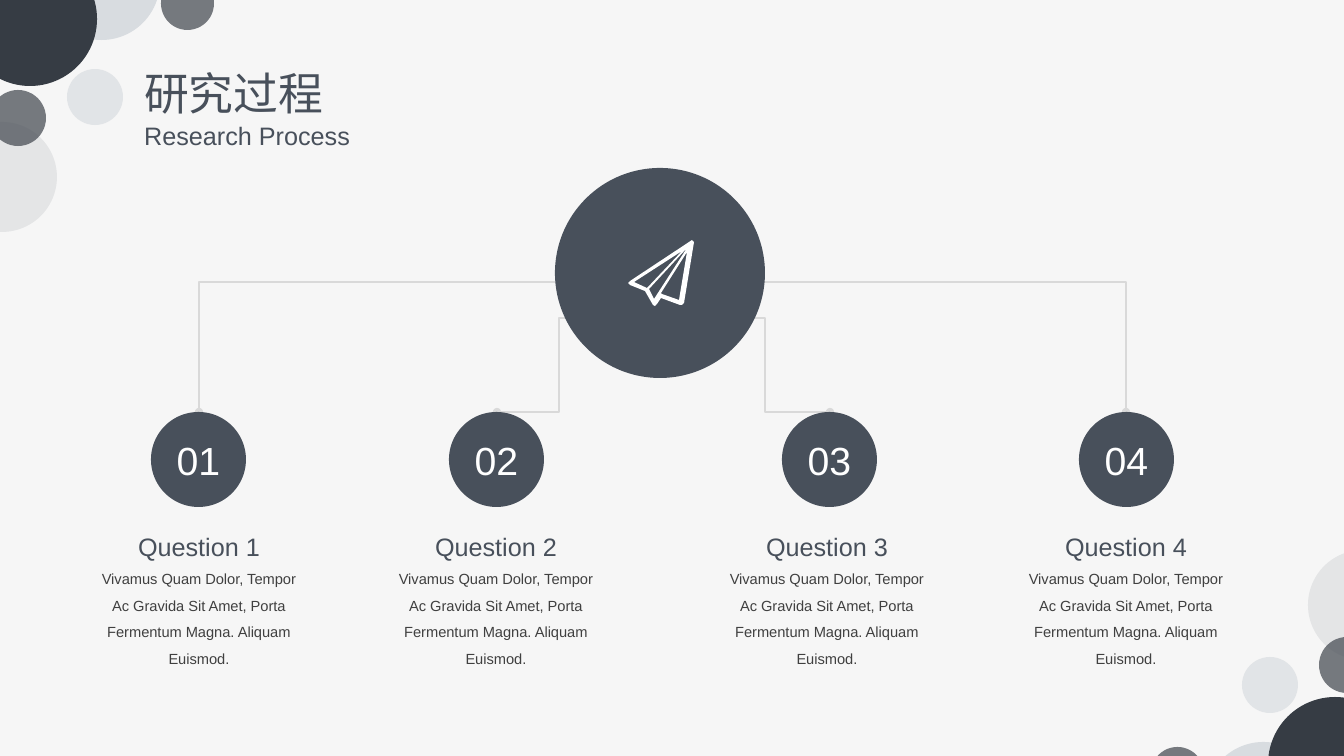
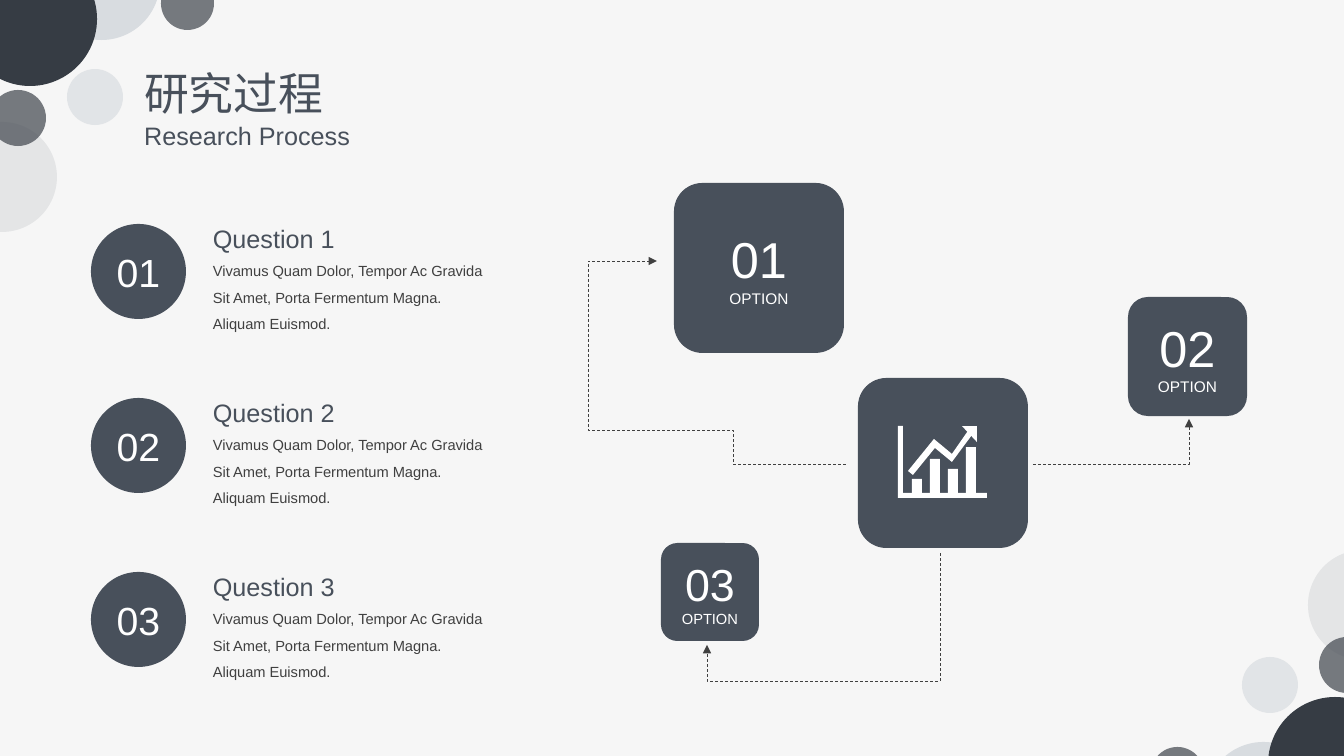
from lxml import etree
from pptx import Presentation
from pptx.dml.color import RGBColor
from pptx.enum.dml import MSO_LINE
from pptx.enum.shapes import MSO_CONNECTOR, MSO_SHAPE
from pptx.enum.text import MSO_ANCHOR, MSO_AUTO_SIZE, PP_ALIGN
from pptx.oxml.ns import qn
from pptx.util import Pt

PX = 12192000 / 1344
FONT = "Arial"
CJK_FONT = "Noto Sans CJK SC"
COLORS = {
    "background": "F6F6F6",
    "slate": "48505B",
    "dark": "363C44",
    "mist": "D8DCE0",
    "line": "D9D9D9",
    "body": "404040",
    "white": "FFFFFF",
}
RGB = {name: RGBColor.from_string(value) for name, value in COLORS.items()}
BODY = "Vivamus Quam Dolor, Tempor Ac Gravida Sit Amet, Porta Fermentum Magna. Aliquam Euismod."


def add_shape(slide, kind, box, color):
    shape = slide.shapes.add_shape(kind, *(round(value * PX) for value in box))
    shape.shadow.inherit = False
    shape.fill.solid()
    shape.fill.fore_color.rgb = RGB[color]
    shape.line.fill.background()
    return shape


def write(frame, lines, align=PP_ALIGN.CENTER, spacing=1.0):
    for index, (text, size, color) in enumerate(lines):
        paragraph = frame.add_paragraph() if index else frame.paragraphs[0]
        paragraph.text = text
        paragraph.alignment = align
        paragraph.line_spacing = spacing
        paragraph.font.name = FONT
        paragraph.font.size = Pt(size)
        paragraph.font.color.rgb = RGB[color]


presentation = Presentation()
presentation.slide_width = round(1344 * PX)
presentation.slide_height = round(756 * PX)
background = presentation.slide_master.background.fill
background.solid()
background.fore_color.rgb = RGB["background"]

layout = presentation.slide_layouts[5]
title = layout.placeholders[0]
title.left, title.top, title.width, title.height = (round(value * PX) for value in (134, 61, 228, 95))
tree_slide, options_slide = (presentation.slides.add_slide(layout) for _ in range(2))

bubbles = [
    (43, -77, 742, 117, "mist", 100),
    (161, -23, 747, 53, "dark", 67),
    (-37, -48, 697, 134, "dark", 100),
    (67, 69, 657, 56, "mist", 67),
    (-10, 90, 637, 56, "dark", 67),
    (-53, 122, 550, 110, "slate", 10),
]
for left, top, mirror_top, size, color, opacity in bubbles:
    for corner in ((left, top), (1365 - left - size, mirror_top)):
        bubble = add_shape(tree_slide, MSO_SHAPE.OVAL, (*corner, size, size), color)
        if opacity < 100:
            color_node = next(bubble.element.iter(qn("a:srgbClr")))
            etree.SubElement(color_node, qn("a:alpha"), val=str(opacity * 1000))
        bubble.element.nvSpPr.cNvPr.id = 100 + len(layout.shapes)
        layout.shapes.element.append(bubble.element)

for slide in (tree_slide, options_slide):
    frame = slide.shapes.title.text_frame
    frame.auto_size = MSO_AUTO_SIZE.NONE
    frame.word_wrap = False
    frame.vertical_anchor = MSO_ANCHOR.TOP
    write(frame, [("研究过程", 32, "slate"), ("Research Process", 18, "slate")], PP_ALIGN.LEFT)
    run = frame.paragraphs[0].runs[0]
    run.font.name = CJK_FONT
    etree.SubElement(run._r.get_or_add_rPr(), qn("a:ea"), typeface=CJK_FONT)

branches = [
    (569, 282, 199, 412, 100000),
    (624, 318, 497, 412, 51300),
    (703, 318, 830, 412, 48700),
    (756, 282, 1126, 412, 100000),
]
for *ends, bend in branches:
    branch = tree_slide.shapes.add_connector(MSO_CONNECTOR.ELBOW, *(round(value * PX) for value in ends))
    branch.line.color.rgb = RGB["line"]
    branch.line.width = Pt(1.5)
    properties = branch.element.spPr
    guides = properties.find(qn("a:prstGeom")).get_or_add_avLst()
    etree.SubElement(guides, qn("a:gd"), name="adj1", fmla=f"val {bend}")
    line = branch.line._get_or_add_ln()
    for tag in ("a:headEnd", "a:tailEnd"):
        etree.SubElement(line, qn(tag), type="oval")
    etree.SubElement(properties, qn("a:effectLst"))

add_shape(tree_slide, MSO_SHAPE.OVAL, (555, 168, 210, 210), "slate")

questions = [
    (tree_slide, 1, (151, 412), (85, 511, 228, 163), PP_ALIGN.CENTER),
    (tree_slide, 2, (449, 412), (382, 511, 228, 163), PP_ALIGN.CENTER),
    (tree_slide, 3, (782, 412), (713, 511, 228, 163), PP_ALIGN.CENTER),
    (tree_slide, 4, (1079, 412), (1012, 511, 228, 163), PP_ALIGN.CENTER),
]
for row in range(3):
    offset = 174 * row
    questions.append((options_slide, row + 1, (91, 224 + offset), (203, 203 + offset, 297, 136), PP_ALIGN.LEFT))
for slide, number, corner, box, align in questions:
    badge = add_shape(slide, MSO_SHAPE.OVAL, (*corner, 95, 95), "slate")
    write(badge.text_frame, [(f"{number:02}", 28, "white")])
    textbox = slide.shapes.add_textbox(*(round(value * PX) for value in box))
    textbox.text_frame.word_wrap = True
    write(textbox.text_frame, [(f"Question {number}", 18, "slate"), (BODY, 10.5, "body")], align, 1.5)

options = [
    (674, 183, 170, "01", 36, 11),
    (1128, 297, 119, "02", 36, 11),
    (661, 543, 98, "03", 32, 10.5),
]
for left, top, size, number, number_size, label_size in options:
    option = add_shape(options_slide, MSO_SHAPE.ROUNDED_RECTANGLE, (left, top, size, size), "slate")
    write(option.text_frame, [(number, number_size, "white"), ("OPTION", label_size, "white")])
add_shape(options_slide, MSO_SHAPE.ROUNDED_RECTANGLE, (858, 378, 170, 170), "slate")

routes = [
    [(1033, 464), (1189, 464), (1189, 419)],
    [(846, 464), (733, 464), (733, 430), (588, 430), (588, 261), (657, 261)],
    [(940, 553), (940, 681), (707, 681), (707, 645)],
]
for start, *points in routes:
    builder = options_slide.shapes.build_freeform(*start, scale=PX)
    builder.add_line_segments(points, close=False)
    route = builder.convert_to_shape()
    route.shadow.inherit = False
    route.fill.background()
    route.line.color.rgb = RGB["body"]
    route.line.width = Pt(0.5)
    route.line.dash_style = MSO_LINE.DASH
    etree.SubElement(route.line._get_or_add_ln(), qn("a:tailEnd"), type="triangle")

paper_plane = [
    [(692, 240), (630, 281), (628, 283), (630, 285), (645, 291), (653, 305), (655, 306), (657, 304),
     (661, 298), (680, 305), (682, 305), (684, 303), (694, 242)],
    [(679, 300), (662, 294), (661, 293), (687, 252)],
    [(649, 289), (687, 248), (654, 299)],
    [(634, 282), (682, 251), (647, 288)],
]
trend_line = [[(913, 475), (908, 471), (934, 439), (952, 454), (970, 428), (975, 431), (952, 462), (935, 448)]]
trend_head = [[(962, 426), (977, 426), (977, 442)]]
chart_axes = [[(987, 498), (898, 498), (898, 426), (903, 426), (903, 493), (987, 493)]]
icons = [
    (tree_slide, paper_plane),
    (options_slide, trend_line),
    (options_slide, trend_head),
    (options_slide, chart_axes),
]
for slide, contours in icons:
    builder = slide.shapes.build_freeform(*contours[0][0], scale=PX)
    builder.add_line_segments(contours[0][1:])
    for start, *points in contours[1:]:
        builder.move_to(*start)
        builder.add_line_segments(points)
    icon = builder.convert_to_shape()
    icon.shadow.inherit = False
    icon.fill.solid()
    icon.fill.fore_color.rgb = RGB["white"]
    icon.line.fill.background()

for index, height in enumerate((14, 34, 24, 46)):
    add_shape(options_slide, MSO_SHAPE.RECTANGLE, (912 + 18 * index, 493 - height, 10, height), "white")

presentation.save("out.pptx")
